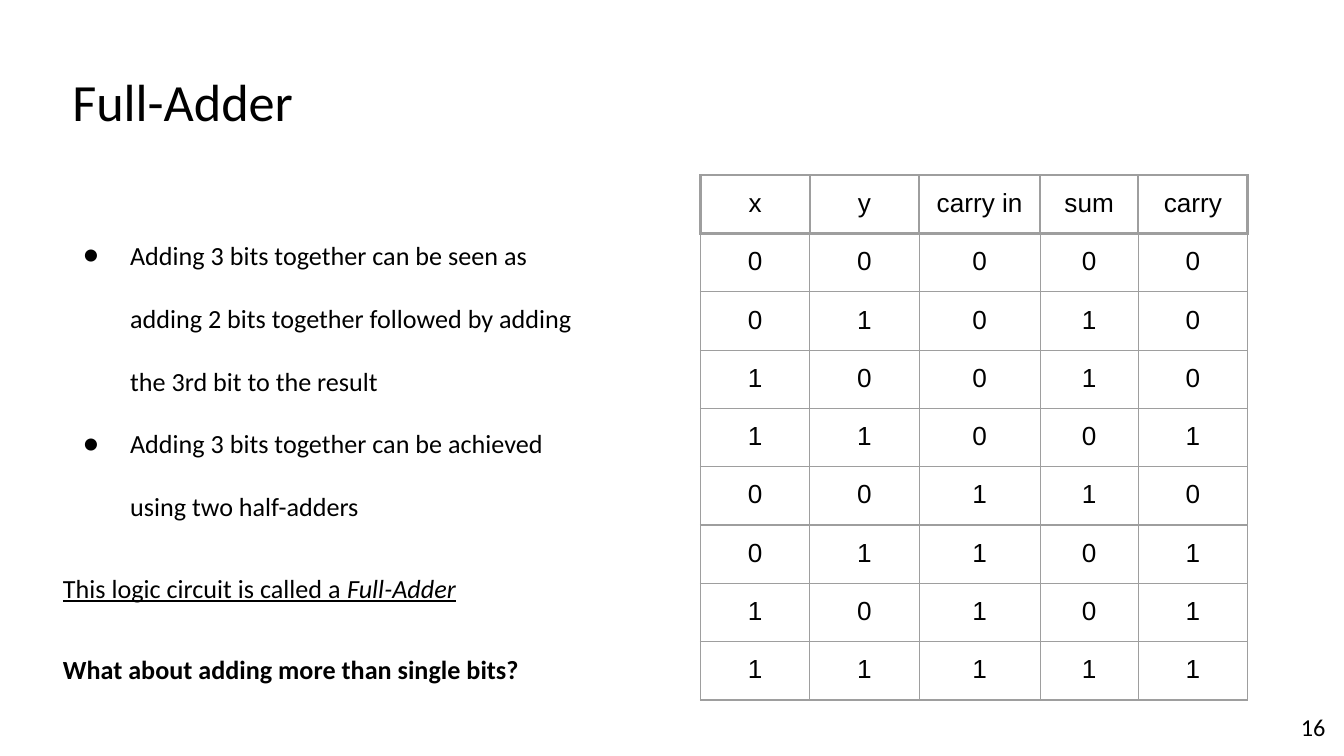
from lxml.etree import SubElement
from pptx import Presentation
from pptx.dml.color import RGBColor
from pptx.enum.text import MSO_ANCHOR, PP_ALIGN
from pptx.oxml.ns import qn
from pptx.util import Inches, Pt

COLORS = {"text": "000000", "border": "9E9E9E"}
WIDTH = Inches(10)
HEIGHT = WIDTH * 9 // 16
PADDING = Inches(0.1)

TITLE = [{"spans": [("Full-Adder", {})]}]
BODY = [
    {"spans": [("Adding 3 bits together can be seen as adding 2 bits together "
                "followed by adding the 3rd bit to the result", {})],
     "bullet": True, "before": 10},
    {"spans": [("Adding 3 bits together can be achieved using two half-adders", {})],
     "bullet": True},
    {"spans": [("This logic circuit is called a ", {"underline": True}),
               ("Full-Adder", {"underline": True, "italic": True})],
     "before": 10},
    {"spans": [("What about adding more than single bits?", {"bold": True})],
     "before": 10},
]
PAGE_NUMBER = [{"spans": [("16", {})]}]

HEADERS = ["x", "y", "carry in", "sum", "carry"]
TRUTH_ROWS = ["00000", "01010", "10010", "11001", "00110", "01101", "10101", "11111"]
COLUMN_SHARES = [8.14, 8.14, 9, 7.3, 8.14]
HEADER_SHARE, ROW_SHARE = 7.41, 7.7


def across(percent):
    return int(WIDTH * percent / 100)


def down(percent):
    return int(HEIGHT * percent / 100)


def add_span(para, text, font, size, **style):
    span = para.add_run()
    span.text = text
    span.font.name = font
    span.font.size = Pt(size)
    span.font.color.rgb = RGBColor.from_string(COLORS["text"])
    for name, value in style.items():
        setattr(span.font, name, value)


def add_bullet(para, size):
    properties = para._p.get_or_add_pPr()
    properties.set("marL", str(Inches(0.5)))
    properties.set("indent", str(Inches(-0.35)))
    color = SubElement(properties, qn("a:buClr"))
    SubElement(color, qn("a:srgbClr"), val=COLORS["text"])
    SubElement(properties, qn("a:buSzPts"), val=str(size * 100))
    SubElement(properties, qn("a:buFont"), typeface="Calibri")
    SubElement(properties, qn("a:buChar"), char="●")


def add_text(page, place, paragraphs, size, spacing=1.0,
             align=PP_ALIGN.LEFT, anchor=MSO_ANCHOR.TOP):
    left, top, width, height = place
    box = page.shapes.add_textbox(across(left), down(top), across(width), down(height))
    frame = box.text_frame
    frame.word_wrap = True
    frame.vertical_anchor = anchor
    frame.margin_left = frame.margin_right = PADDING
    frame.margin_top = frame.margin_bottom = PADDING
    for index, content in enumerate(paragraphs):
        para = frame.add_paragraph() if index else frame.paragraphs[0]
        para.alignment = align
        para.line_spacing = spacing
        para.space_before = Pt(content.get("before", 0))
        if content.get("bullet"):
            add_bullet(para, size)
        for text, style in content["spans"]:
            add_span(para, text, "Calibri", size, **style)


def set_borders(cell, row):
    properties = cell._tc.get_or_add_tcPr()
    for position, side in enumerate(("lnL", "lnR", "lnT", "lnB")):
        thick = row == 0 or (row == 1 and side == "lnT")
        line = properties.makeelement(qn(f"a:{side}"), {"w": str(Pt(1.5 if thick else 0.75))})
        fill = SubElement(line, qn("a:solidFill"))
        SubElement(fill, qn("a:srgbClr"), val=COLORS["border"])
        properties.insert(position, line)


def add_truth_table(page, left, top):
    rows = [HEADERS, *TRUTH_ROWS]
    heights = [HEADER_SHARE] + [ROW_SHARE] * len(TRUTH_ROWS)
    table = page.shapes.add_table(
        len(rows), len(HEADERS), across(left), down(top),
        across(sum(COLUMN_SHARES)), down(sum(heights))).table
    table.first_row = table.horz_banding = False
    for column, share in zip(table.columns, COLUMN_SHARES):
        column.width = across(share)
    for row, values in enumerate(rows):
        table.rows[row].height = down(heights[row])
        for column, value in enumerate(values):
            cell = table.cell(row, column)
            cell.fill.background()
            cell.margin_left = cell.margin_right = PADDING
            cell.margin_top = cell.margin_bottom = PADDING
            para = cell.text_frame.paragraphs[0]
            para.alignment = PP_ALIGN.CENTER
            para.line_spacing = 1.0
            para.space_before = Pt(0)
            add_span(para, value, "Arial", 14)
            set_borders(cell, row)


def main():
    deck = Presentation()
    deck.slide_width, deck.slide_height = WIDTH, HEIGHT
    page = deck.slides.add_slide(deck.slide_layouts[6])
    add_text(page, (3.7, 25.75, 41.3, 68.3), BODY, 14, spacing=2.0)
    add_text(page, (4.4, 7.35, 63.6, 12.1), TITLE, 28)
    add_truth_table(page, 52.12, 23.18)
    add_text(page, (93.6, 92.35, 6, 7.65), PAGE_NUMBER, 13,
             align=PP_ALIGN.RIGHT, anchor=MSO_ANCHOR.MIDDLE)
    deck.save("out.pptx")


if __name__ == "__main__":
    main()
